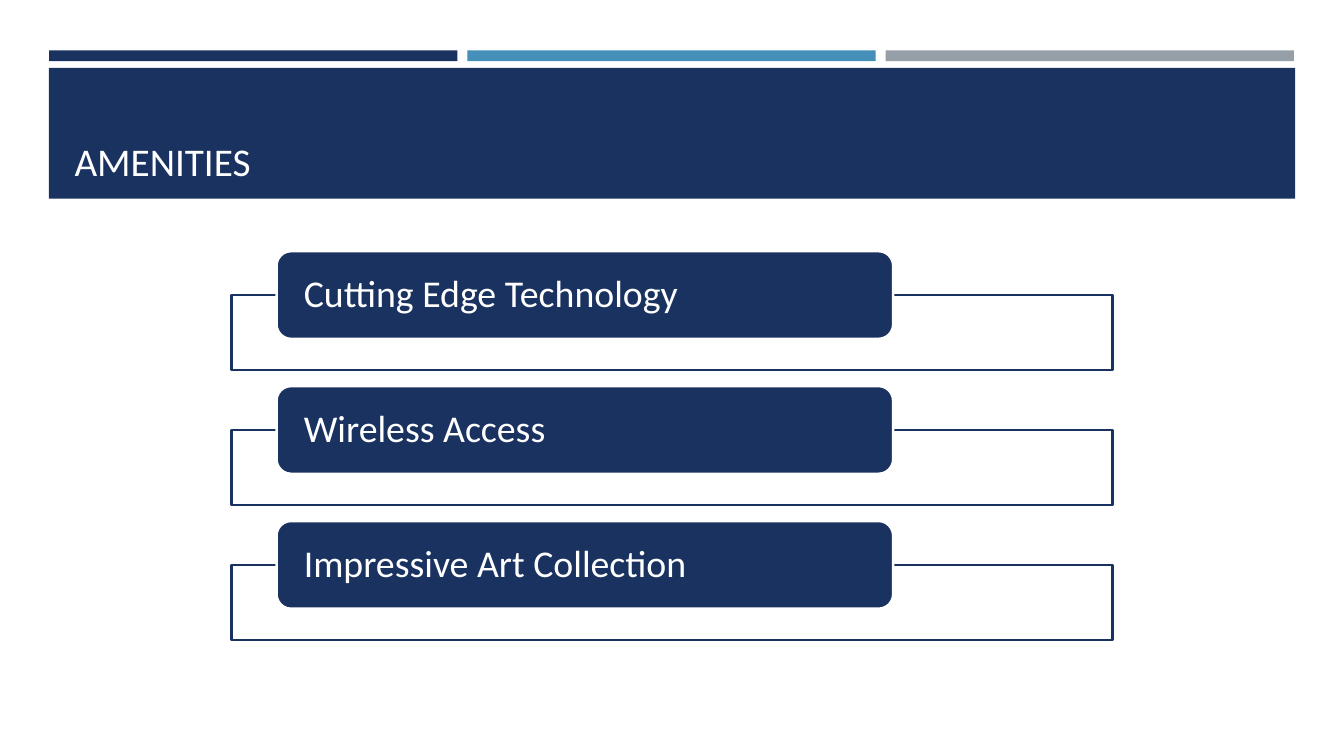
from dataclasses import dataclass

from lxml import etree
from pptx import Presentation
from pptx.dml.color import RGBColor
from pptx.enum.shapes import MSO_SHAPE
from pptx.enum.text import MSO_ANCHOR, PP_ALIGN
from pptx.oxml.ns import qn
from pptx.shapes.autoshape import Shape
from pptx.slide import Slide
from pptx.util import Cm, Pt

RECT = MSO_SHAPE.RECTANGLE
ROUNDED = MSO_SHAPE.ROUNDED_RECTANGLE
LEFT = PP_ALIGN.LEFT
MIDDLE = MSO_ANCHOR.MIDDLE
BOTTOM = MSO_ANCHOR.BOTTOM


@dataclass(frozen=True)
class Theme:
    navy: str = "1A3260"
    blue: str = "4590B8"
    grey: str = "969FA7"
    white: str = "FFFFFF"
    font: str = "Calibri"
    title_size: float = 28
    item_size: float = 27
    outline: float = 1.75


@dataclass(frozen=True)
class Box:
    left: float
    top: float
    width: float
    height: float

    def shifted(self, dx: float = 0, dy: float = 0) -> "Box":
        return Box(self.left + dx, self.top + dy, self.width, self.height)

    def lengths(self) -> tuple[Cm, Cm, Cm, Cm]:
        return Cm(self.left), Cm(self.top), Cm(self.width), Cm(self.height)


THEME = Theme()
BAR = Box(1.24, 1.27, 10.29, 0.27)
BAR_STEP = 10.54
BAR_COLORS = (THEME.navy, THEME.blue, THEME.grey)
BAND = Box(1.23, 1.71, 31.41, 3.3)
TITLE = Box(1.63, 1.96, 30.63, 2.82)
FRAME = Box(5.84, 7.44, 22.2, 1.89)
PILL = Box(6.97, 6.33, 15.54, 2.21)
ITEM_STEP = 3.4
ITEMS = ("Cutting Edge Technology", "Wireless Access", "Impressive Art Collection")


def add_block(s: Slide, box: Box, fill: str, *, kind: MSO_SHAPE = RECT,
              line: str | None = None, opacity: int = 100) -> Shape:
    sp = s.shapes.add_shape(kind, *box.lengths())
    sp.shadow.inherit = False
    sp.fill.solid()
    sp.fill.fore_color.rgb = RGBColor.from_string(fill)
    if opacity < 100:
        color = sp.fill._xPr.find(qn("a:solidFill"))[0]
        etree.SubElement(color, qn("a:alpha")).set("val", str(opacity * 1000))
    if line:
        sp.line.color.rgb = RGBColor.from_string(line)
        sp.line.width = Pt(THEME.outline)
    else:
        sp.line.fill.background()
    return sp


def write_text(sp: Shape, text: str, *, size: float, anchor: MSO_ANCHOR,
               inset_x: float = 0.25, inset_y: float = 0.13,
               spacing: float = 1.0) -> None:
    tf = sp.text_frame
    tf.word_wrap = True
    tf.vertical_anchor = anchor
    tf.margin_left = tf.margin_right = Cm(inset_x)
    tf.margin_top = tf.margin_bottom = Cm(inset_y)
    p = tf.paragraphs[0]
    p.alignment = LEFT
    p.line_spacing = spacing
    r = p.add_run()
    r.text = text
    r.font.name = THEME.font
    r.font.size = Pt(size)
    r.font.color.rgb = RGBColor.from_string(THEME.white)


def add_header(s: Slide, title: str) -> None:
    for i, color in enumerate(BAR_COLORS):
        add_block(s, BAR.shifted(dx=i * BAR_STEP), color)
    add_block(s, BAND, THEME.navy)
    sp = s.shapes.add_textbox(*TITLE.lengths())
    write_text(sp, title, size=THEME.title_size, anchor=BOTTOM)


def add_item(s: Slide, text: str, dy: float) -> None:
    add_block(s, FRAME.shifted(dy=dy), THEME.white, line=THEME.navy, opacity=90)
    sp = add_block(s, PILL.shifted(dy=dy), THEME.navy, kind=ROUNDED, line=THEME.white)
    write_text(sp, text, size=THEME.item_size, anchor=MIDDLE,
               inset_x=0.58, inset_y=0, spacing=0.9)


def main() -> None:
    prs = Presentation()
    prs.slide_width, prs.slide_height = Cm(33.87), Cm(19.05)
    s = prs.slides.add_slide(prs.slide_layouts[6])
    add_header(s, "AMENITIES")
    for i, text in enumerate(ITEMS):
        add_item(s, text, i * ITEM_STEP)
    prs.save("out.pptx")


if __name__ == "__main__":
    main()
